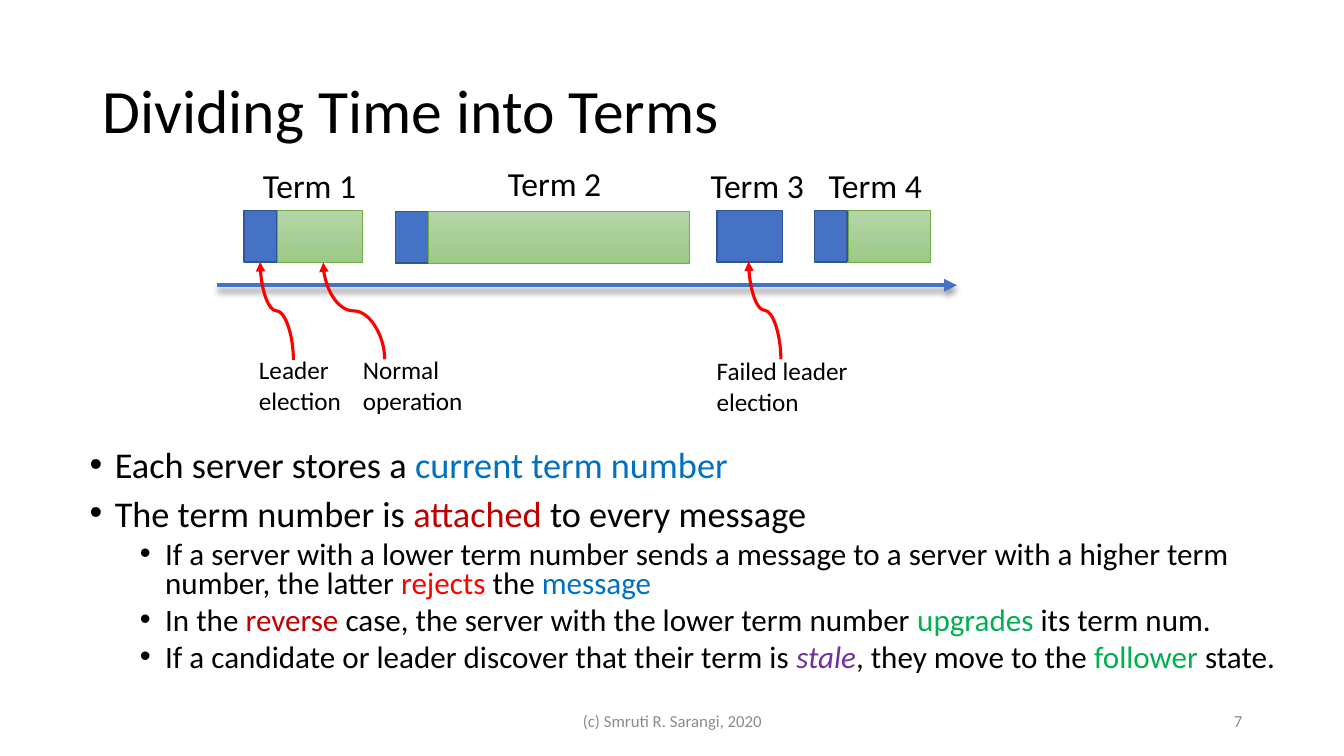
from dataclasses import dataclass

from lxml import etree
from pptx import Presentation
from pptx.dml.color import RGBColor
from pptx.enum.shapes import MSO_CONNECTOR, MSO_SHAPE
from pptx.enum.text import MSO_ANCHOR, MSO_AUTO_SIZE, PP_ALIGN
from pptx.oxml.ns import qn
from pptx.util import Pt

PX = 9144
RECT = MSO_SHAPE.RECTANGLE
STRAIGHT, CURVE = MSO_CONNECTOR.STRAIGHT, MSO_CONNECTOR.CURVE
TOP, MIDDLE = MSO_ANCHOR.TOP, MSO_ANCHOR.MIDDLE
LEFT, CENTER, RIGHT = PP_ALIGN.LEFT, PP_ALIGN.CENTER, PP_ALIGN.RIGHT
GROW = MSO_AUTO_SIZE.SHAPE_TO_FIT_TEXT
QUARTER_TURN_BACK = "16200000"


@dataclass(frozen=True)
class Theme:
    """Font, type sizes and colours of the slide."""
    font: str = "Calibri"
    title: float = 44
    term: float = 24
    label: float = 18
    footer: float = 12
    body: tuple = (25.9, 22.2)
    black: str = "000000"
    gray: str = "8C8C8C"
    blue: str = "4472C4"
    blue_edge: str = "325491"
    green_top: str = "B5D5A7"
    green_bottom: str = "9CC987"
    green_edge: str = "70AD47"
    pointer: str = "FF0000"
    note: str = "0070C0"
    strong: str = "C00000"
    warn: str = "FF0000"
    good: str = "00B050"
    stale: str = "7030A0"


T = Theme()

TERMS = [
    ("Term 1", 36, 2, 27, 33, 60, 84),
    ("Term 2", 279, 0, 177, 101, 210, 259),
    ("Term 3", 480, 2, 496, 65, None, None),
    ("Term 4", 597, 2, 593, 32, 626, 82),
]
POINTERS = [
    (("Leader", "election"), 32, 190, 103, 76, 43, 103),
    (("Normal", "operation"), 135, 190, 120, 167, 106, 104),
    (("Failed leader", "election"), 486, 191, 152, 560, 528, 103),
]
BULLETS = [
    (0, [("Each server stores a ", T.black), ("current term number", T.note)]),
    (0, [("The term number is ", T.black), ("attached", T.strong),
         (" to every message", T.black)]),
    (1, [("If a server with a lower term number sends a message to a server "
          "with a higher term number, the latter ", T.black),
         ("rejects", T.warn), (" the ", T.black), ("message", T.note)]),
    (1, [("In the ", T.black), ("reverse", T.strong),
         (" case, the server with the lower term number ", T.black),
         ("upgrades", T.good), (" its term num.", T.black)]),
    (1, [("If a candidate or leader discover that their term is ", T.black),
         ("stale", T.stale), (", they move to the ", T.black),
         ("follower", T.good), (" state.", T.black)]),
]


def px(*lengths):
    """Turn px lengths into EMU."""
    return [n * PX for n in lengths]


def add_run(p, text, size, color):
    """Add one formatted run to a paragraph."""
    r = p.add_run()
    r.text = text
    formats = {"name": T.font, "size": Pt(size), "italic": color == T.stale}
    for name, value in formats.items():
        setattr(r.font, name, value)
    r.font.color.rgb = RGBColor.from_string(color)


def add_frame(s, box, **formats):
    """Add a text box and return its formatted text frame."""
    tf = s.shapes.add_textbox(*px(*box)).text_frame
    for name, value in {"word_wrap": True, **formats}.items():
        setattr(tf, name, value)
    return tf


def add_text(s, box, lines, size, color=T.black, align=LEFT, **formats):
    """Add a text box with one plain paragraph per line."""
    tf = add_frame(s, box, **formats)
    for i, line in enumerate(lines):
        p = tf.add_paragraph() if i else tf.paragraphs[0]
        p.alignment = align
        add_run(p, line, size, color)
    return tf


def add_bar(s, box, edge, width, colors):
    """Add a bar with a solid fill or a vertical gradient."""
    sp = s.shapes.add_shape(RECT, *px(*box))
    sp.shadow.inherit = False
    if len(colors) == 1:
        sp.fill.solid()
        sp.fill.fore_color.rgb = RGBColor.from_string(colors[0])
    else:
        sp.fill.gradient()
        sp.fill.gradient_angle = 270
        for stop, color in zip(sp.fill.gradient_stops, colors):
            stop.color.rgb = RGBColor.from_string(color)
    sp.line.color.rgb = RGBColor.from_string(edge)
    sp.line.width = Pt(width)


def add_arrow(s, kind, ends, color, width):
    """Add an arrow and return its connector and effect list."""
    cxn = s.shapes.add_connector(kind, *px(*ends))
    cxn.line.color.rgb = RGBColor.from_string(color)
    cxn.line.width = Pt(width)
    etree.SubElement(cxn.line._get_or_add_ln(), qn("a:tailEnd"), type="triangle")
    return cxn, etree.SubElement(cxn._element.spPr, qn("a:effectLst"))


def add_pointer(s, x1, y1, x2, y2):
    """Add a curved arrow that leaves and arrives vertically."""
    length, spread = y1 - y2, x1 - x2
    left = (x1 + x2 - length) // 2
    top = (y1 + y2 - spread) // 2
    ends = (left, top + spread, left + length, top)
    cxn, _ = add_arrow(s, CURVE, ends, T.pointer, 2.25)
    cxn._element.spPr.find(qn("a:xfrm")).set("rot", QUARTER_TURN_BACK)


def add_title(s, box):
    """Add the slide title."""
    tf = add_text(s, box, ["Dividing Time into Terms"], T.title,
                  vertical_anchor=MIDDLE)
    tf.paragraphs[0].line_spacing = 0.9


def add_time_axis(s, x, y, w):
    """Add the shadowed time arrow."""
    _, effects = add_arrow(s, STRAIGHT, (x, y, x + w, y), T.blue, 3)
    shadow = etree.SubElement(effects, qn("a:outerShdw"), blurRad=str(Pt(4)),
                              dist=str(Pt(3)), dir="5400000", rotWithShape="0")
    black = etree.SubElement(shadow, qn("a:srgbClr"), val=T.black)
    etree.SubElement(black, qn("a:alpha"), val="40000")


def add_timeline(s, box):
    """Add the terms, the time axis and the labelled pointers."""
    x, y, w, _ = box
    hug = {"word_wrap": False, "auto_size": GROW}
    for name, label_x, label_y, blue_x, blue_w, green_x, green_w in TERMS:
        bar_y = y + 53 - label_y // 2
        add_bar(s, (x + blue_x, bar_y, blue_w, 51), T.blue_edge, 1, [T.blue])
        if green_w:
            add_bar(s, (x + green_x, bar_y, green_w, 51), T.green_edge, 0.5,
                    [T.green_top, T.green_bottom])
        add_text(s, (x + label_x, y + label_y, 114, 50), [name], T.term, **hug)
    add_time_axis(s, x, y + 126, w)
    for lines, label_x, label_y, label_w, from_x, to_x, to_y in POINTERS:
        add_pointer(s, x + from_x, y + 200, x + to_x, y + to_y)
        add_text(s, (x + label_x, y + label_y, label_w, 71), lines, T.label, **hug)


def add_bullets(s, box):
    """Add the two-level bullet list."""
    tf = add_frame(s, box, vertical_anchor=TOP)
    for i, (level, runs) in enumerate(BULLETS):
        p = tf.add_paragraph() if i else tf.paragraphs[0]
        formats = {"level": level, "line_spacing": 0.8,
                   "space_before": Pt((10, 5)[level] if i else 0)}
        for name, value in formats.items():
            setattr(p, name, value)
        pPr = p._p.get_or_add_pPr()
        pPr.set("marL", str(px(25 + 50 * level)[0]))
        pPr.set("indent", str(px(-25)[0]))
        etree.SubElement(pPr, qn("a:buFont"), typeface="Arial")
        etree.SubElement(pPr, qn("a:buChar"), char="•")
        for text, color in runs:
            add_run(p, text, T.body[level], color)


def add_footer(s, box):
    """Add the copyright line and the slide number."""
    x, y, w, h = box
    add_text(s, (x, y, 450, h), ["(c) Smruti R. Sarangi, 2020"], T.footer,
             T.gray, CENTER, vertical_anchor=MIDDLE)
    add_text(s, (x + w - 300, y, 300, h), ["7"], T.footer,
             T.gray, RIGHT, vertical_anchor=MIDDLE)


def main():
    """Build and save the slide."""
    prs = Presentation()
    prs.slide_width, prs.slide_height = px(1333, 750)
    s = prs.slides.add_slide(prs.slide_layouts[6])
    add_title(s, (92, 40, 1150, 145))
    add_bullets(s, (79, 442, 1200, 234))
    add_footer(s, (442, 695, 800, 40))
    add_timeline(s, (215, 157, 734, 262))
    prs.save("out.pptx")


if __name__ == "__main__":
    main()
